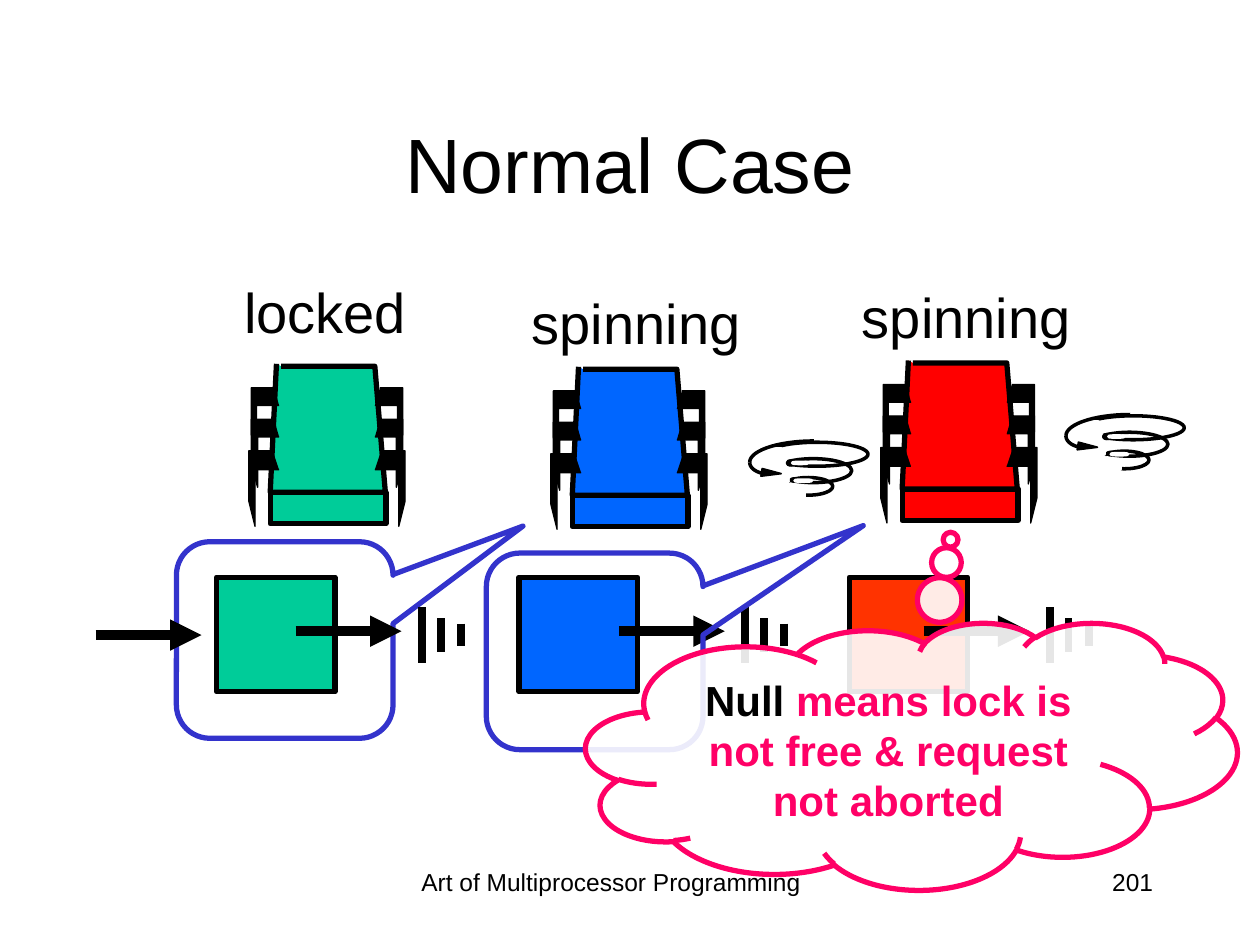
from math import cos, radians, sin

from lxml.etree import SubElement
from pptx import Presentation
from pptx.dml.color import RGBColor
from pptx.enum.shapes import MSO_CONNECTOR, MSO_SHAPE
from pptx.enum.text import MSO_ANCHOR, PP_ALIGN
from pptx.oxml.ns import qn
from pptx.util import Pt

BLACK, WHITE, PINK, NAVY = "000000", "FFFFFF", "FF0066", "3333CC"
RECT, OVAL = MSO_SHAPE.RECTANGLE, MSO_SHAPE.OVAL
BUBBLE = MSO_SHAPE.ROUNDED_RECTANGULAR_CALLOUT
ARMS = [
    [(13.7, 49.7), (0, 49.7), (0, 78.5), (3.6, 92.9), (3.6, 60.5), (17.3, 60.5)],
    [(14.4, 31.7), (1.4, 31.7), (1.4, 57.6), (5, 70.6), (5, 41.8), (17.3, 41.8)],
    [(14.4, 13.7), (1.4, 13.7), (1.4, 40.3), (4.3, 53.3), (4.3, 23.8), (17.3, 23.8)],
]
LOOPS = [(22.3, 27.4, 28.1, 10.1), (17.3, 16.6, 43.9, 13.7), (12.2, 7.2, 58.3, 13.7)]
GAPS = [(2.9, 21.6), (13, 25.9), (12.2, 30.7), (21.6, 35),
        (11.5, 22.3), (10.8, 18), (8.6, 15.1), (8.6, 10.8)]
TIPS = [((26.6, 28.1, 5, 1.4), BLACK), ((28.8, 28.8, 9.4, 0.7), WHITE),
        ((24.5, 18, 3.6, 2.2), BLACK), ((27.4, 18.7, 8.6, 0.7), WHITE)]


def tint(form, color):
    """Give a fill, line or font one solid colour from a hex string."""
    if hasattr(form, "solid"):
        form.solid()
        form.fore_color.rgb = RGBColor.from_string(color)
    else:
        form.color.rgb = RGBColor.from_string(color)


def paint(shape, fill, line, width):
    """Set fill and line of a shape, where None means neither."""
    shape.shadow.inherit = False
    if fill:
        tint(shape.fill, fill)
    else:
        shape.fill.background()
    if line:
        tint(shape.line, line)
        shape.line.width = Pt(width)
    else:
        shape.line.fill.background()
    return shape


def draw(slide, kind, box, fill=None, line=None, width=3, adj=()):
    """Add a preset shape in a box of points."""
    shape = slide.shapes.add_shape(kind, *map(Pt, box))
    for i, value in enumerate(adj):
        shape.adjustments[i] = value
    return paint(shape, fill, line, width)


def trace(slide, x, y, dots, fill=None, width=0.75, close=False):
    """Add a black outline through dots measured from x, y."""
    dots = [(Pt(x + a), Pt(y + b)) for a, b in dots]
    pen = slide.shapes.build_freeform(*dots[0])
    pen.add_line_segments(dots[1:], close=close)
    return paint(pen.convert_to_shape(), fill, BLACK, width)


def rule(slide, x1, y1, x2, y2, width, head=False):
    """Add a straight black line, with an arrowhead if asked."""
    line = slide.shapes.add_connector(MSO_CONNECTOR.STRAIGHT, *map(Pt, (x1, y1, x2, y2)))
    tint(line.line, BLACK)
    line.line.width = Pt(width)
    props = line._element.spPr
    if head:
        SubElement(props.find(qn("a:ln")), qn("a:tailEnd"), type="triangle")
    SubElement(props, qn("a:effectLst"))


def write(shape, runs, size, align=PP_ALIGN.CENTER, bold=False, **form):
    """Fill a shape with one paragraph of coloured runs."""
    frame = shape.text_frame
    for key, value in {"word_wrap": True, **form}.items():
        setattr(frame, key, value)
    para = frame.paragraphs[0]
    para.alignment = align
    for text, color in runs:
        run = para.add_run()
        run.text = text
        for key, value in {"name": "Arial", "size": Pt(size), "bold": bold}.items():
            setattr(run.font, key, value)
        tint(run.font, color)


def label(slide, box, text, size, **form):
    """Add a black text box."""
    write(slide.shapes.add_textbox(*map(Pt, box)), [(text, BLACK)], size, **form)


def state(slide, box, text):
    """Name the state of a thread above its seat."""
    label(slide, box, text, 32, margin_left=0, margin_right=0)


def seat(slide, x, y, color):
    """Draw a thread as a seat with three arms on each side."""
    draw(slide, RECT, (x + 12.2, y + 73.4, 66.2, 18), color, BLACK)
    back = [(18.4, 1.4), (72, 1.4), (78, 73.4), (12.2, 73.4), (15.8, 0)]
    trace(slide, x, y, back, color, 3)
    for arm in ARMS:
        trace(slide, x, y, [(89.3 - a, b) for a, b in arm], BLACK)
        trace(slide, x, y, arm, BLACK)


def node(slide, x, color):
    """Draw the square of a queue node."""
    draw(slide, RECT, (x, 329.8, 67.7, 65.5), color, BLACK)


def null(slide, x, y):
    """Draw an arrow that ends in a ground sign."""
    rule(slide, x, y, x + 60.5, y, 6, True)
    for gap, half in ((72, 15.8), (82.8, 9.7), (94.3, 6.5)):
        rule(slide, x + gap, y + 2.2 - half, x + gap, y + 2.2 + half, 4.5)


def arc(x, y, wide, high, start):
    """List the dots of a quarter ellipse from a start angle."""
    turns = [radians(start + step) for step in range(0, 91, 6)]
    return [(x + wide * cos(t), y + high * sin(t)) for t in turns]


def swirl(slide, x, y):
    """Draw the sign of a spinning thread."""
    draw(slide, RECT, (x, y, 74.2, 46.8), WHITE)
    for a, b, w, h in LOOPS:
        draw(slide, OVAL, (x + a, y + b, w, h), None, BLACK, 2)
    for a, b in GAPS:
        draw(slide, RECT, (x + a, y + b, 12.6, 2.9), WHITE, WHITE, 2)
    trace(slide, x, y, arc(13.7, 18.7, 10.8, 6.7, 90), width=2)
    trace(slide, x, y, arc(39.6, 18.7, 36.7, 12.2, 180), width=2)
    for (a, b, w, h), color in TIPS:
        draw(slide, OVAL, (x + a, y + b, w, h), WHITE, color, 2)
    trace(slide, x, y, [(10.1, 22.3), (20.9, 25.2), (9.4, 26.6)], BLACK, 1, True)


def cloud(slide, box):
    """Draw the thought cloud with its message."""
    shape = draw(slide, MSO_SHAPE.CLOUD_CALLOUT, box, WHITE, PINK, adj=(0.06, -0.81))
    color = shape._element.spPr.find(qn("a:solidFill"))[0]
    SubElement(color, qn("a:alpha"), val="90000")
    runs = [("Null", BLACK), (" means lock is not free & request not aborted", PINK)]
    write(shape, runs, 24, bold=True, vertical_anchor=MSO_ANCHOR.MIDDLE)


def main():
    """Build the slide and save it."""
    deck = Presentation()
    deck.slide_width, deck.slide_height = Pt(720), Pt(540)
    slide = deck.slides.add_slide(deck.slide_layouts[6])
    red, blue, green = "FF0000", "0066FF", "00CC99"

    seat(slide, 503.3, 206, red)
    state(slide, (485.3, 157.7, 133.9, 46), "spinning")
    node(slide, 485.3, "FF3300")
    null(slide, 527.8, 360.7)

    seat(slide, 314.8, 209.6, blue)
    state(slide, (296.6, 161.3, 133.9, 46), "spinning")
    node(slide, 296.6, blue)

    draw(slide, BUBBLE, (100.8, 309.6, 123.8, 112.3), None, NAVY, adj=(1.1, -0.58, 0.17))
    seat(slide, 142.2, 207.9, green)
    node(slide, 123.8, green)
    rule(slide, 54.7, 362.9, 115.2, 362.9, 6, True)
    state(slide, (132.5, 154.8, 106.6, 46), "locked")

    swirl(slide, 606.2, 230.4)
    swirl(slide, 425.5, 245.5)
    for x in (353.7, 169):
        null(slide, x, 360.7)
    draw(slide, BUBBLE, (277.9, 316.1, 123.8, 112.3), None, NAVY, adj=(1.24, -0.64, 0.17))

    label(slide, (208.1, 491.8, 282.2, 36), "Art of Multiprocessor Programming", 14)
    label(slide, (516.2, 491.8, 149.8, 36), "201", 14, align=PP_ALIGN.RIGHT)
    label(slide, (54, 48, 612, 90), "Normal Case", 44, vertical_anchor=MSO_ANCHOR.MIDDLE)
    cloud(slide, (334.8, 355.7, 372.2, 152.6))
    deck.save("out.pptx")


if __name__ == "__main__":
    main()
